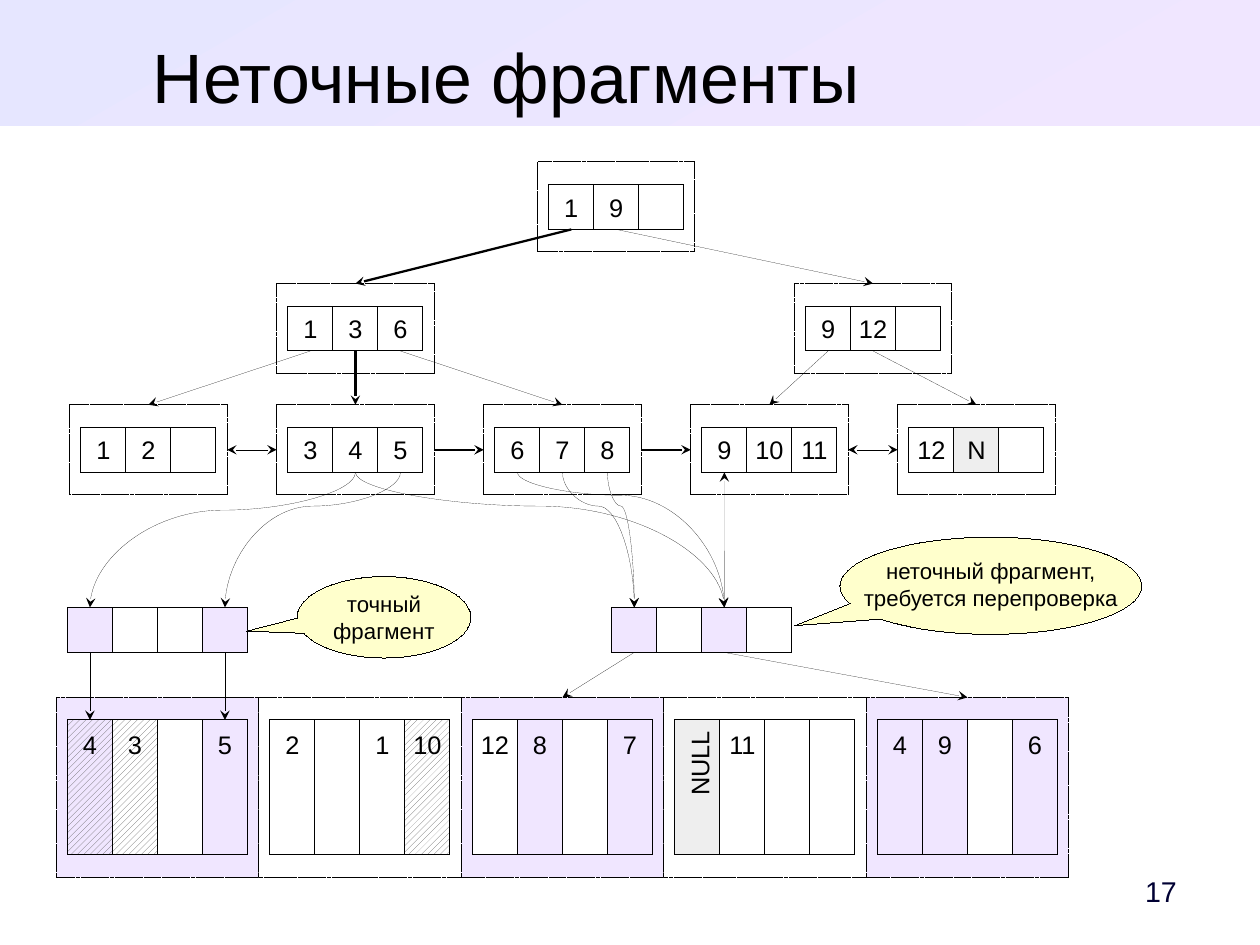
from collections import namedtuple

from lxml import etree
from pptx import Presentation
from pptx.dml.color import RGBColor
from pptx.enum import dml, shapes, text
from pptx.oxml import ns
from pptx.util import Pt

BLACK = RGBColor(0, 0, 0)
WHITE = RGBColor(255, 255, 255)
LILAC = RGBColor(0xF0, 0xE6, 0xFF)
LAVENDER = RGBColor(0xE6, 0xE6, 0xFF)
GREY = RGBColor(0xEE, 0xEE, 0xEE)
HATCH = RGBColor(0x66, 0x66, 0x66)
YELLOW = RGBColor(255, 255, 0xCC)
NAVY = RGBColor(0, 0, 0x33)

SLIDE_WIDTH, SLIDE_HEIGHT = 793.75, 595.25
CELL = 28.35
PAD_X, PAD_Y = CELL / 4, CELL / 2
NODE_WIDTH, NODE_HEIGHT = CELL * 3.5, CELL * 2
PAGE_WIDTH, PAGE_HEIGHT = CELL * 4.5, CELL * 4
LEAF_STEP = 130.4
BITMAP_TOP, PAGE_TOP = 382.6, 439.3
HAIRLINE, THICK = 0.01, 1.42

Box = namedtuple("Box", "left top width height")


def write(frame, lines, size, color=BLACK, align=text.PP_ALIGN.CENTER,
          anchor=text.MSO_ANCHOR.MIDDLE, insets=(7.2, 3.6, 7.2, 3.6)):
    frame.word_wrap = False
    frame.auto_size = text.MSO_AUTO_SIZE.NONE
    frame.vertical_anchor = anchor
    frame.margin_left, frame.margin_top, frame.margin_right, frame.margin_bottom = map(Pt, insets)
    for index, line in enumerate(lines):
        paragraph = frame.add_paragraph() if index else frame.paragraphs[0]
        paragraph.alignment = align
        run = paragraph.add_run()
        run.text = line
        run.font.name = "Arial"
        run.font.size = Pt(size)
        run.font.color.rgb = color


def add_outline(slide, kind, box, fill, dashed=False):
    shape = slide.shapes.add_shape(kind, *map(Pt, box))
    shape.shadow.inherit = False
    shape.fill.solid()
    shape.fill.fore_color.rgb = fill
    shape.line.color.rgb = BLACK
    shape.line.width = Pt(HAIRLINE)
    if dashed:
        shape.line.dash_style = dml.MSO_LINE.SQUARE_DOT
    return shape


def add_rectangle(slide, box, fill, dashed=False):
    return add_outline(slide, shapes.MSO_SHAPE.RECTANGLE, box, fill, dashed)


def add_arrow(slide, start, end, width=HAIRLINE, both=False,
              kind=shapes.MSO_CONNECTOR.STRAIGHT):
    connector = slide.shapes.add_connector(kind, *map(Pt, start + end))
    connector.line.color.rgb = BLACK
    connector.line.width = Pt(width)
    line = connector.line._get_or_add_ln()
    for tag in ("a:headEnd", "a:tailEnd") if both else ("a:tailEnd",):
        etree.SubElement(line, ns.qn(tag), type="stealth")
    etree.SubElement(connector._element.spPr, ns.qn("a:effectLst"))
    return connector


def add_curve(slide, start, end, bend):
    middle_x, middle_y = (start[0] + end[0]) / 2, (start[1] + end[1]) / 2
    half_width = (end[1] - start[1]) / 2
    half_height = abs(end[0] - start[0]) / 2
    rightward = end[0] > start[0]
    if rightward:
        half_width = -half_width
    curve = add_arrow(slide, (middle_x - half_width, middle_y - half_height),
                      (middle_x + half_width, middle_y + half_height),
                      kind=shapes.MSO_CONNECTOR.CURVE)
    properties = curve._element.spPr
    properties.find(ns.qn("a:xfrm")).set("rot", str((270 if rightward else 90) * 60000))
    geometry = properties.find(ns.qn("a:prstGeom"))
    adjustments = geometry.find(ns.qn("a:avLst"))
    if adjustments is None:
        adjustments = etree.SubElement(geometry, ns.qn("a:avLst"))
    etree.SubElement(adjustments, ns.qn("a:gd"), name="adj1", fmla=f"val {round(bend * 100000)}")


def add_header(slide, box):
    band = add_rectangle(slide, box, LILAC)
    band.line.fill.background()
    band.fill.gradient()
    band.fill.gradient_angle = 300
    for stop, color, position in zip(band.fill.gradient_stops, (LAVENDER, LILAC), (0, 1)):
        stop.color.rgb = color
        stop.position = position
    slide.shapes._spTree.insert(2, band._element)
    title = slide.shapes.title
    title.left, title.top, title.width, title.height = map(Pt, (33.8, 20.9, 571, 51.1))
    write(title.text_frame, ["Неточные фрагменты"], 44, anchor=text.MSO_ANCHOR.TOP,
          insets=(0, 0, 0, 0))


def add_page_number(slide, box):
    number = slide.shapes.add_textbox(*map(Pt, box))
    write(number.text_frame, ["17"], 18, NAVY, text.PP_ALIGN.RIGHT, insets=(7.2, 3.6, 18.9, 3.6))


def add_page(slide, box, fill, keys, hatched):
    add_rectangle(slide, box, fill, dashed=True)
    height = box.height - 2 * PAD_Y
    for slot, key in enumerate(keys):
        left, top = box.left + PAD_X + slot * CELL, box.top + PAD_Y
        color = LILAC if key.isdigit() and 4 <= int(key) <= 9 else WHITE
        if key == "NULL":
            shift = (height - CELL) / 2
            cell = add_rectangle(slide, Box(left - shift, top + shift, height, CELL), GREY)
            cell.rotation = 270
        else:
            cell = add_rectangle(slide, Box(left, top, CELL, height), color)
        if slot in hatched:
            cell.fill.patterned()
            cell.fill.pattern = dml.MSO_PATTERN.WIDE_UPWARD_DIAGONAL
            cell.fill.fore_color.rgb = HATCH
            cell.fill.back_color.rgb = color
        if key:
            align = text.PP_ALIGN.RIGHT if key == "NULL" else text.PP_ALIGN.CENTER
            write(cell.text_frame, [key], 16, align=align, anchor=text.MSO_ANCHOR.TOP,
                  insets=(7.2, 5.76, 7.2, 3.6))


def add_node(slide, box, keys):
    add_rectangle(slide, box, WHITE, dashed=True)
    for slot, key in enumerate(keys):
        cell_box = Box(box.left + PAD_X + slot * CELL, box.top + PAD_Y, CELL, CELL)
        cell = add_rectangle(slide, cell_box, GREY if key == "N" else WHITE)
        if key:
            write(cell.text_frame, [key], 16)


def add_bitmap(slide, box, marked):
    for slot in range(4):
        cell_box = Box(box.left + slot * CELL, box.top, CELL, CELL)
        add_rectangle(slide, cell_box, LILAC if slot in marked else WHITE)


def add_callout(slide, box, lines, pointer, bottom=3.6):
    callout = add_outline(slide, shapes.MSO_SHAPE.OVAL_CALLOUT, box, YELLOW)
    callout.adjustments[0], callout.adjustments[1] = pointer
    write(callout.text_frame, lines, 14, insets=(7.2, 3.6, 7.2, bottom))


def key_bottom(node, slot):
    return node.left + PAD_X + (slot + 0.5) * CELL, node.top + PAD_Y + CELL


def top_middle(box):
    return box.left + box.width / 2, box.top


def bitmap_edge(bitmap, slot, bottom=False):
    return bitmap.left + (slot + 0.5) * CELL, bitmap.top + bottom * CELL


def build_diagram(slide):
    pages = [Box(35.4 + index * PAGE_WIDTH, PAGE_TOP, PAGE_WIDTH, PAGE_HEIGHT) for index in range(5)]
    page_keys = [("4", "3", "", "5"), ("2", "", "1", "10"), ("12", "8", "", "7"),
                 ("NULL", "11", "", ""), ("4", "9", "", "6")]
    hatched = {0: (0, 1), 1: (3,)}
    for index, (page, keys) in enumerate(zip(pages, page_keys)):
        add_page(slide, page, WHITE if index % 2 else LILAC, keys, hatched.get(index, ()))

    root = Box(338.6, 102, NODE_WIDTH, NODE_HEIGHT)
    low, high = [Box(left, 178.6, NODE_WIDTH, NODE_HEIGHT) for left in (174.3, 500.4)]
    leaves = [Box(43.9 + index * LEAF_STEP, 255, NODE_WIDTH, NODE_HEIGHT) for index in range(5)]
    node_keys = [("1", "9", ""), ("1", "3", "6"), ("9", "12", ""), ("1", "2", ""),
                 ("3", "4", "5"), ("6", "7", "8"), ("9", "10", "11"), ("12", "N", "")]
    for node, keys in zip([root, low, high] + leaves, node_keys):
        add_node(slide, node, keys)

    for parent, slot, child, width in [
            (root, 0, low, THICK), (root, 1, high, HAIRLINE), (low, 0, leaves[0], HAIRLINE),
            (low, 1, leaves[1], THICK), (low, 2, leaves[2], HAIRLINE),
            (high, 0, leaves[3], HAIRLINE), (high, 1, leaves[4], HAIRLINE)]:
        add_arrow(slide, key_bottom(parent, slot), top_middle(child), width)
    for index, leaf in enumerate(leaves[:-1]):
        middle = leaf.top + leaf.height / 2
        scanned = index in (1, 2)
        add_arrow(slide, (leaf.left + leaf.width, middle), (leaves[index + 1].left, middle),
                  THICK if scanned else HAIRLINE, both=not scanned)

    exact, lossy = [Box(left, BITMAP_TOP, 4 * CELL, CELL) for left in (42.5, 385.4)]
    for leaf, slot, bitmap, target, bend in [
            (1, 1, lossy, 2, 0.25), (1, 2, exact, 3, 0.25), (2, 0, lossy, 2, 0.17),
            (2, 1, lossy, 0, 0.25), (2, 2, lossy, 0, 0.25), (1, 1, exact, 0, 0.28)]:
        add_curve(slide, key_bottom(leaves[leaf], slot), bitmap_edge(bitmap, target), bend)
    add_arrow(slide, bitmap_edge(lossy, 2), key_bottom(leaves[3], 0))

    add_bitmap(slide, exact, (0, 3))
    add_bitmap(slide, lossy, (0, 2))
    for slot in (0, 3):
        start = bitmap_edge(exact, slot, bottom=True)
        add_arrow(slide, start, (start[0], PAGE_TOP + PAD_Y))
    for slot, page in ((0, pages[2]), (2, pages[4])):
        add_arrow(slide, bitmap_edge(lossy, slot, bottom=True), top_middle(page))

    add_callout(slide, Box(187.2, 363.2, 109.4, 51.3), ["точный", "фрагмент"], (-0.79, 0.17))
    add_callout(slide, Box(529.2, 338.4, 190.1, 61.2),
                ["неточный фрагмент,", "требуется перепроверка"], (-0.65, 0.41), bottom=6)


def main():
    presentation = Presentation()
    presentation.slide_width, presentation.slide_height = Pt(SLIDE_WIDTH), Pt(SLIDE_HEIGHT)
    slide = presentation.slides.add_slide(presentation.slide_layouts[5])
    add_header(slide, Box(0, 0, SLIDE_WIDTH, 79.2))
    build_diagram(slide)
    add_page_number(slide, Box(697.7, 544.3, 62.6, 33.8))
    presentation.save("out.pptx")


if __name__ == "__main__":
    main()
